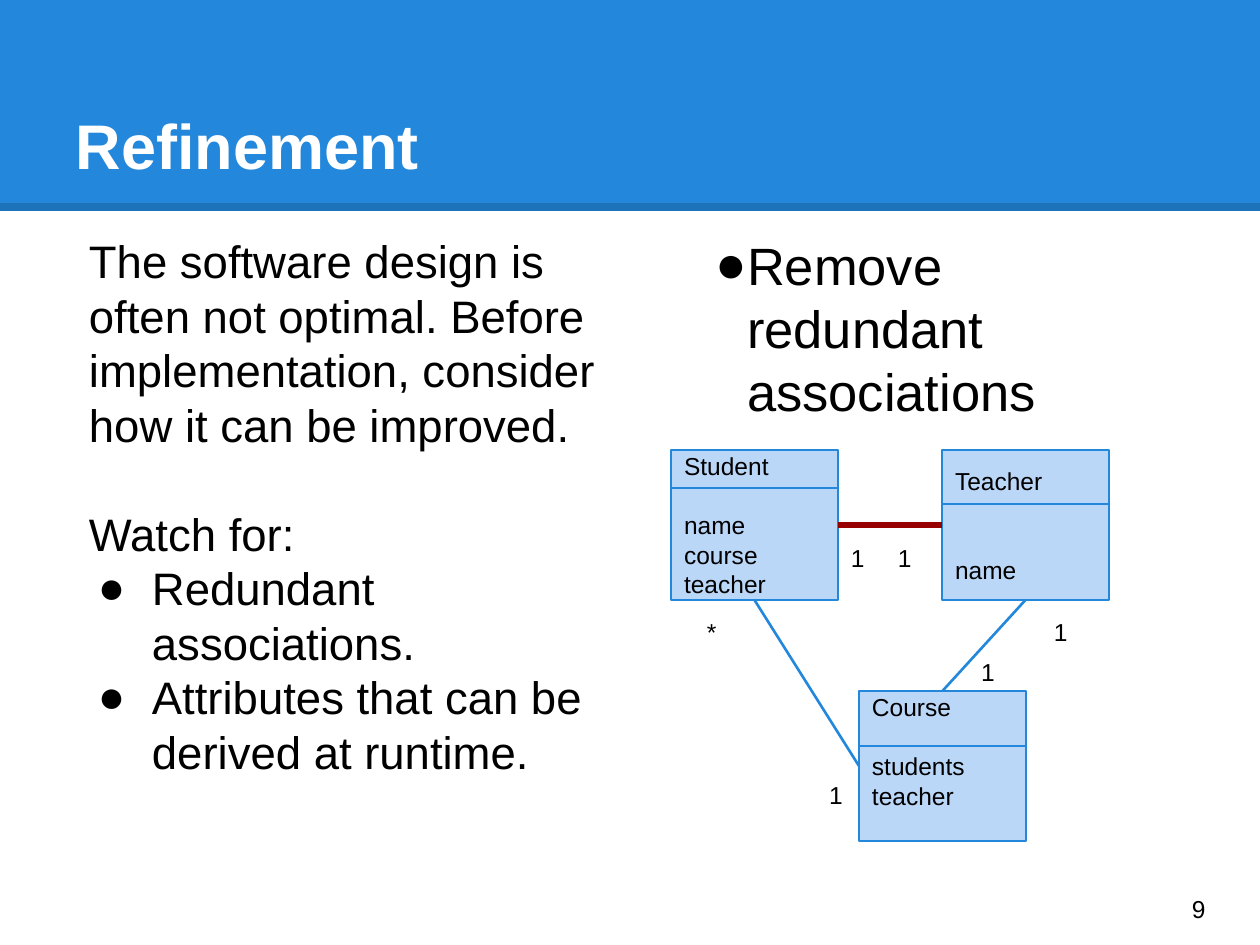
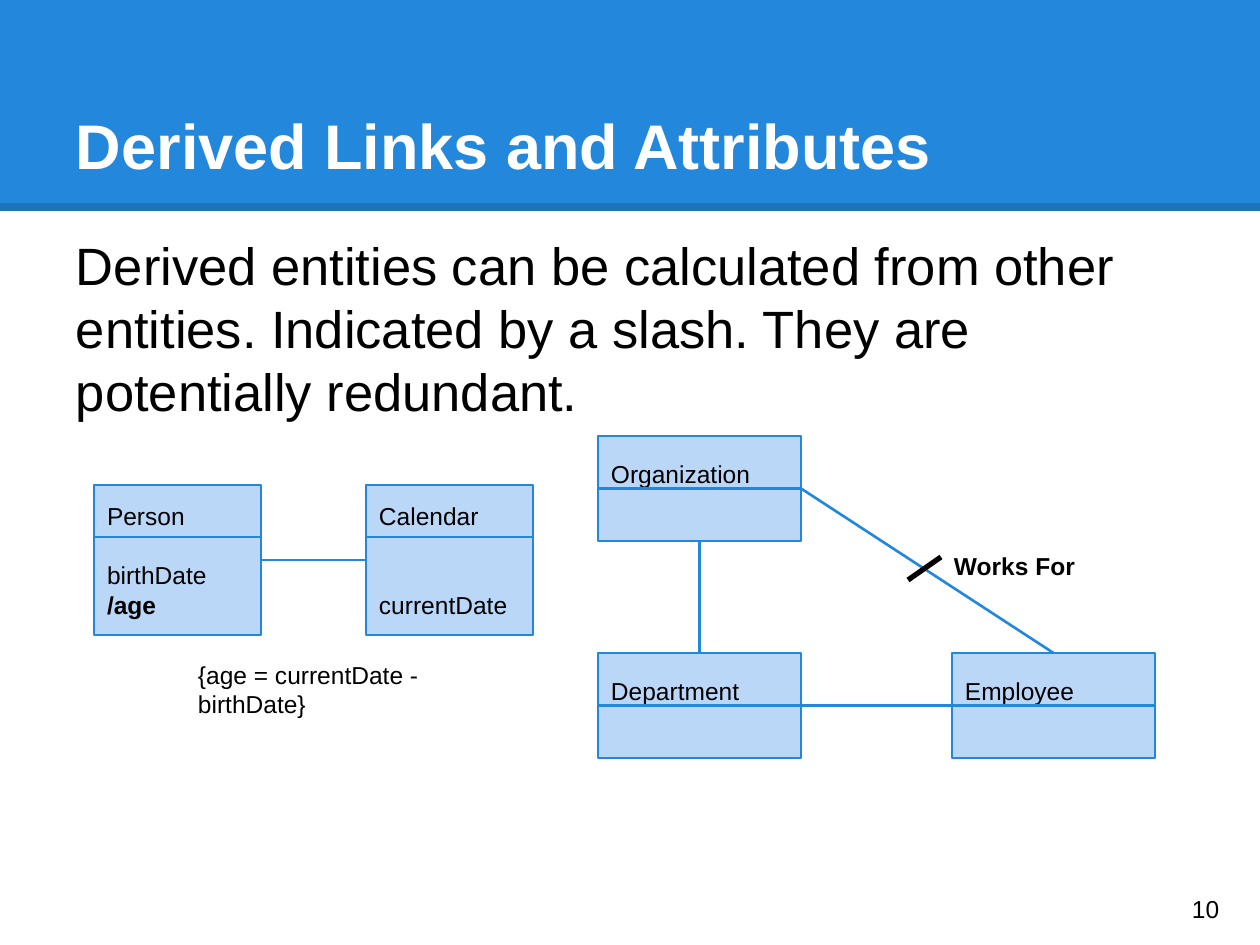
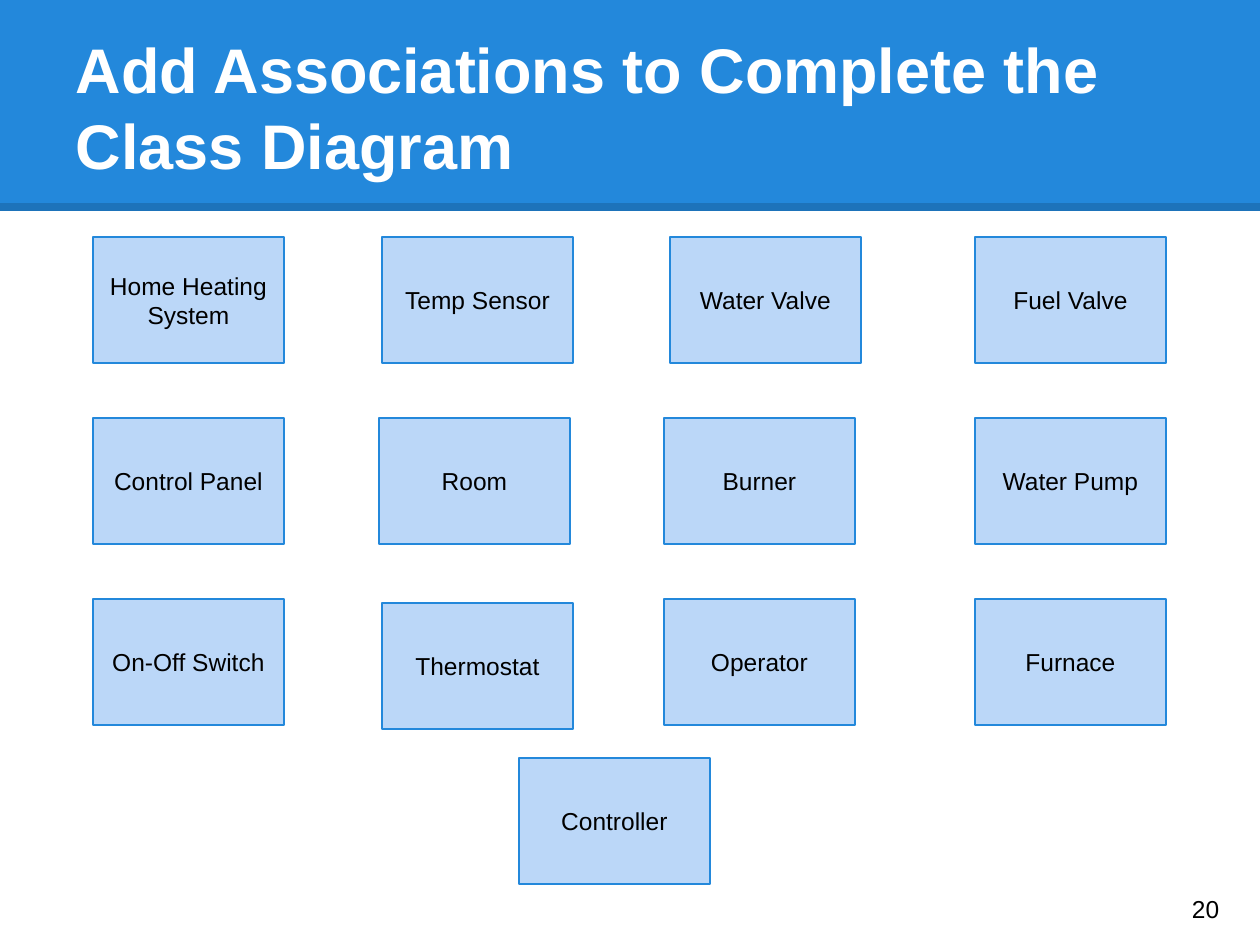
from dataclasses import dataclass
from typing import NamedTuple

from lxml.etree import SubElement
from pptx import Presentation
from pptx.dml.color import RGBColor
from pptx.enum.shapes import MSO_CONNECTOR, MSO_SHAPE
from pptx.enum.text import MSO_ANCHOR, MSO_AUTO_SIZE, PP_ALIGN
from pptx.oxml.ns import qn
from pptx.shapes.autoshape import Shape
from pptx.shapes.connector import Connector
from pptx.slide import Slide, SlideLayout
from pptx.text.text import TextFrame
from pptx.util import Emu, Pt

# Shared look
PX_PER_INCH = 126
SLIDE_W, SLIDE_H = 1260, 945
FONT = "Arial"
BLUE, PALE_BLUE, RED = "2388DB", "BBD7F8", "980000"
BLACK, WHITE = "000000", "FFFFFF"
INSET = 13
LABEL_SIZE = 14
LINE_PX = 30  # height of one label line
LINE_PT = 17
TOP, LEFT, BOTTOM, RIGHT = range(4)


class Point(NamedTuple):
    x: int
    y: int


class Box(NamedTuple):
    left: int
    top: int
    width: int
    height: int


@dataclass
class Para:
    text: str
    bold: bool = False
    space_before: int = 0
    indent: int = 0  # left margin of a bulleted paragraph
    hanging: int = 0


@dataclass
class UmlClass:
    name: str
    box: Box
    attributes: tuple[str, ...] = ()
    gap_lines: int = 1  # between the name and the attributes
    lines_below: int = 0
    divider: int = 0  # below the top; 0 puts it at mid height


class Component(NamedTuple):
    name: str
    left: int
    top: int


def px(length: int) -> Emu:
    return Emu(round(length * 914400 / PX_PER_INCH))


def color(value: str) -> RGBColor:
    return RGBColor.from_string(value)


# Drawing
def write(frame: TextFrame, paras: list[Para], size: int = LABEL_SIZE,
          ink: str = BLACK, anchor: MSO_ANCHOR = MSO_ANCHOR.TOP,
          align: PP_ALIGN = PP_ALIGN.LEFT, lines_below: int = 0) -> None:
    frame.word_wrap = True
    frame.auto_size = MSO_AUTO_SIZE.NONE
    frame.vertical_anchor = anchor
    frame.margin_left = frame.margin_right = frame.margin_top = px(INSET)
    frame.margin_bottom = px(INSET + lines_below * LINE_PX)
    for number, para in enumerate(paras):
        paragraph = frame.paragraphs[0] if number == 0 else frame.add_paragraph()
        paragraph.text = para.text
        paragraph.alignment = align
        if para.space_before:
            paragraph.space_before = Pt(para.space_before)
        if para.indent:
            add_bullet(paragraph, para)
        font = paragraph.font
        font.name, font.size, font.bold = FONT, Pt(size), para.bold
        font.color.rgb = color(ink)


def add_bullet(paragraph, para: Para) -> None:
    properties = paragraph._p.get_or_add_pPr()
    properties.set("marL", str(px(para.indent)))
    properties.set("indent", str(px(-para.hanging)))
    bullet_color = SubElement(properties, qn("a:buClr"))
    SubElement(bullet_color, qn("a:srgbClr"), val=BLACK)
    SubElement(properties, qn("a:buFont"), typeface=FONT)
    SubElement(properties, qn("a:buChar"), char="●")


def add_text(slide: Slide, box: Box, paras: list[Para], size: int = LABEL_SIZE,
             anchor: MSO_ANCHOR = MSO_ANCHOR.TOP) -> None:
    frame = slide.shapes.add_textbox(*map(px, box)).text_frame
    write(frame, paras, size, anchor=anchor)


def add_rect(slide: Slide, box: Box, fill: str, outline: str = "") -> Shape:
    rect = slide.shapes.add_shape(MSO_SHAPE.RECTANGLE, *map(px, box))
    rect.shadow.inherit = False
    rect.fill.solid()
    rect.fill.fore_color.rgb = color(fill)
    if outline:
        rect.line.color.rgb = color(outline)
        rect.line.width = Pt(1.5)
    else:
        rect.line.fill.background()
    return rect


def add_line(slide: Slide, start: Point, end: Point, ink: str = BLUE,
             width: float = 1.5) -> Connector:
    line = slide.shapes.add_connector(
        MSO_CONNECTOR.STRAIGHT, *map(px, (*start, *end)))
    line.line.color.rgb = color(ink)
    line.line.width = Pt(width)
    SubElement(line._element.spPr, qn("a:effectLst"))
    return line


def join(slide: Slide, start: Shape, start_side: int, end: Shape, end_side: int,
         ink: str = BLUE, width: float = 1.5) -> None:
    line = add_line(slide, Point(0, 0), Point(0, 0), ink, width)
    line.begin_connect(start, start_side)
    line.end_connect(end, end_side)


def add_class(slide: Slide, uml: UmlClass) -> Shape:
    rect = add_rect(slide, uml.box, PALE_BLUE, BLUE)
    paras = [Para(uml.name)]
    for number, attribute in enumerate(uml.attributes):
        gap = uml.gap_lines * LINE_PT if number == 0 else 0
        paras.append(Para(attribute, attribute.startswith("/"), gap))
    write(rect.text_frame, paras, anchor=MSO_ANCHOR.MIDDLE,
          lines_below=uml.lines_below)
    if uml.divider:
        left, y = uml.box.left, uml.box.top + uml.divider
        add_line(slide, Point(left, y), Point(left + uml.box.width, y))
    else:
        join(slide, rect, LEFT, rect, RIGHT)
    return rect


# Slide frame
def move_band_to_layout(slide: Slide, layout: SlideLayout) -> None:
    for placeholder in list(layout.placeholders)[1:]:
        layout.shapes.element.remove(placeholder.element)
    band = add_rect(slide, Box(0, 0, SLIDE_W, 211), BLUE)
    edge = add_line(slide, Point(0, 207), Point(SLIDE_W, 207), BLACK, 4.5)
    ink = edge._element.spPr.find(".//" + qn("a:srgbClr"))
    SubElement(ink, qn("a:alpha"), val="15000")
    for position, part in enumerate((band, edge), start=2):
        layout.shapes.element.insert(position, part.element)


def add_slide(prs: Presentation, heading: str, page: int) -> Slide:
    layout = prs.slide_layouts[5]
    slide = prs.slides.add_slide(layout)
    if len(prs.slides) == 1:
        move_band_to_layout(slide, layout)
    title = slide.shapes.title
    title.left, title.top, title.width, title.height = map(
        px, Box(63, 38, 1134, 157))
    write(title.text_frame, [Para(heading, bold=True)], 36, WHITE,
          MSO_ANCHOR.BOTTOM)
    add_text(slide, Box(1179, 873, 76, 72), [Para(str(page))],
             anchor=MSO_ANCHOR.MIDDLE)
    return slide


# Slides
def add_refinement(prs: Presentation) -> None:
    slide = add_slide(prs, "Refinement", 9)
    add_text(slide, Box(76, 220, 554, 173), [
        Para("The software design is often not optimal. Before implementation, "
             "consider how it can be improved."),
        Para("Watch for:", space_before=31),
        Para("Redundant associations.", indent=63, hanging=54),
        Para("Attributes that can be derived at runtime.", indent=63, hanging=54),
    ], 26)
    add_text(slide, Box(671, 220, 526, 173), [
        Para("Remove redundant associations", indent=63, hanging=32)], 30)

    student = add_class(slide, UmlClass(
        "Student", Box(671, 450, 167, 150), ("name", "course", "teacher"),
        divider=38))
    teacher = add_class(slide, UmlClass(
        "Teacher", Box(942, 450, 167, 150), ("name",), gap_lines=2, divider=54))
    course = add_class(slide, UmlClass(
        "Course", Box(859, 691, 167, 150), ("students", "teacher"),
        lines_below=1, divider=55))
    join(slide, student, RIGHT, teacher, LEFT, RED, 3)
    join(slide, course, LEFT, student, BOTTOM)
    join(slide, course, TOP, teacher, BOTTOM)

    multiplicities = [("1", 816, 770), ("*", 694, 607), ("1", 838, 533),
                      ("1", 885, 533), ("1", 1041, 607), ("1", 968, 647)]
    for multiplicity, left, top in multiplicities:
        add_text(slide, Box(left, top, 43, 21), [Para(multiplicity)])


def add_derived(prs: Presentation) -> None:
    slide = add_slide(prs, "Derived Links and Attributes", 10)
    add_text(slide, Box(63, 220, 1134, 145), [
        Para("Derived entities can be calculated from other entities. Indicated "
             "by a slash. They are potentially redundant.")], 30)

    # Derived attribute
    person = add_class(slide, UmlClass(
        "Person", Box(94, 485, 167, 150), ("birthDate", "/age"), divider=52))
    calendar = add_class(slide, UmlClass(
        "Calendar", Box(366, 485, 167, 150), ("currentDate",), gap_lines=2,
        divider=52))
    join(slide, person, RIGHT, calendar, LEFT)
    add_text(slide, Box(185, 647, 260, 83),
             [Para("{age = currentDate - birthDate}")])

    # Derived link
    organization, department, employee = (
        add_class(slide, UmlClass(name, Box(left, top, 203, 105), lines_below=1))
        for name, left, top in (("Organization", 598, 436),
                                ("Department", 598, 653),
                                ("Employee", 952, 653)))
    join(slide, department, TOP, organization, BOTTOM)
    join(slide, department, RIGHT, employee, LEFT)
    join(slide, employee, TOP, organization, RIGHT)
    add_text(slide, Box(941, 538, 220, 38), [Para("Works For", bold=True)])
    add_line(slide, Point(908, 580), Point(941, 557), BLACK, 3)


def add_exercise(prs: Presentation) -> None:
    slide = add_slide(prs, "Add Associations to Complete the Class Diagram", 20)
    first, second, third = (237 + 181 * row for row in range(3))
    components = [
        Component("Home Heating System", 93, first),
        Component("Temp Sensor", 382, first),
        Component("Water Valve", 670, first),
        Component("Fuel Valve", 975, first),
        Component("Control Panel", 93, second),
        Component("Room", 379, second),
        Component("Burner", 664, second),
        Component("Water Pump", 975, second),
        Component("On-Off Switch", 93, third),
        Component("Thermostat", 382, third + 4),
        Component("Operator", 664, third),
        Component("Furnace", 975, third),
        Component("Controller", 519, 758),
    ]
    for name, left, top in components:
        rect = add_rect(slide, Box(left, top, 191, 126), PALE_BLUE, BLUE)
        write(rect.text_frame, [Para(name)], anchor=MSO_ANCHOR.MIDDLE,
              align=PP_ALIGN.CENTER)


def main() -> None:
    prs = Presentation()
    prs.slide_width, prs.slide_height = px(SLIDE_W), px(SLIDE_H)
    add_refinement(prs)
    add_derived(prs)
    add_exercise(prs)
    prs.save("out.pptx")


if __name__ == "__main__":
    main()
